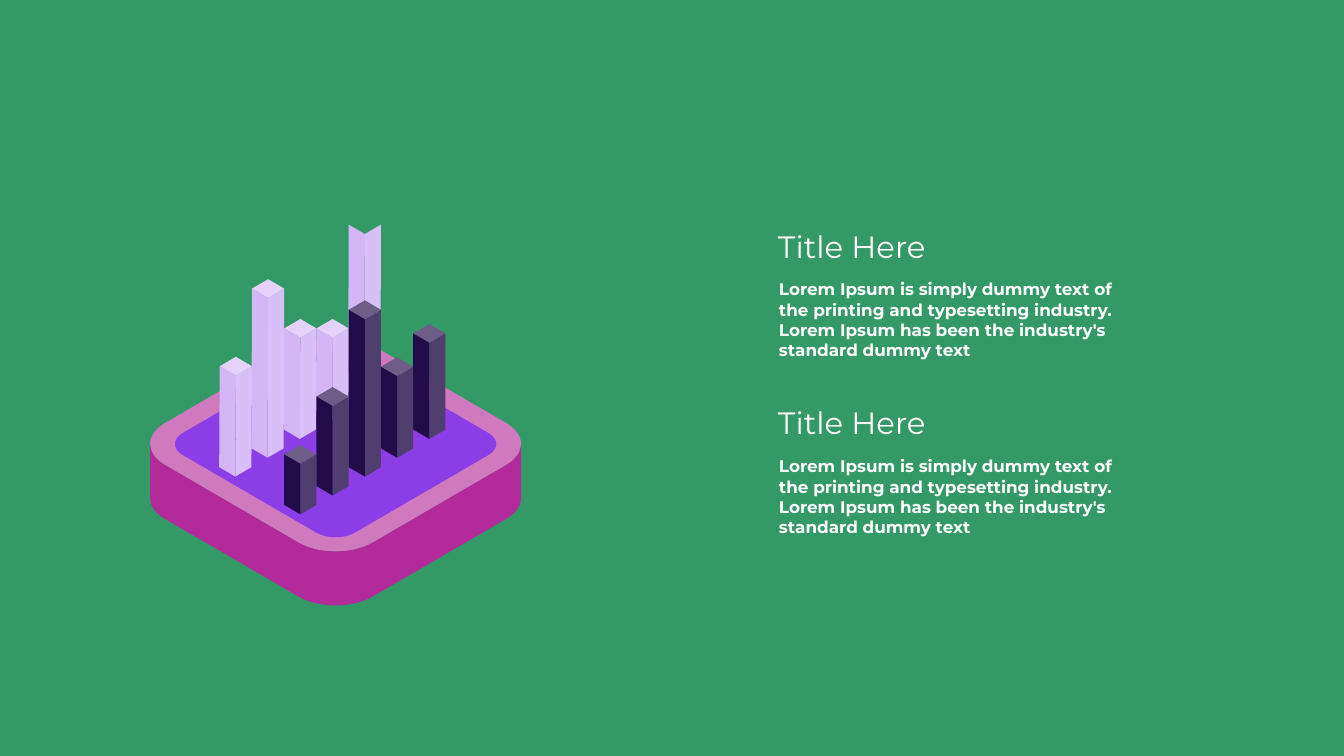
from pptx import Presentation
from pptx.dml.color import RGBColor
from pptx.enum.text import MSO_AUTO_SIZE
from pptx.util import Inches, Pt

HUES = {
    "back": "339966", "text": "FFFFFF",
    "rim": "CF79BF", "side": "B32A9A", "floor": "8C3EE6",
}
LIGHT = {"lid": "E5D2FA", "right": "D9BFF7", "left": "D4B6F6"}
DARK = {"lid": "6D5E87", "right": "503E6F", "left": "220B49"}


def draw(group, points, hue):
    """Add a closed, filled outline through points given in inches."""
    dots = [(Inches(x), Inches(y)) for x, y in points]
    pen = group.shapes.build_freeform(*dots[0])
    pen.add_line_segments(dots[1:], close=True)
    shape = pen.convert_to_shape()
    shape.fill.solid()
    shape.fill.fore_color.rgb = RGBColor.from_string(hue)
    shape.line.fill.background()
    shape.shadow.inherit = False


def plate(right, low, bend):
    """Outline a diamond with four rounded corners, clockwise."""
    (rx, ry), (lx, ly), (bx, by) = right, low, bend
    corners = [
        [(rx, -ry), (rx + bx, by - ry), (rx + bx, ry - by), (rx, ry)],
        [(lx, ly), (lx - bx, ly + by), (bx - lx, ly + by), (-lx, ly)],
    ]
    corners += [[(-x, -y) for x, y in c] for c in corners]
    points = []
    for a, b, c, d in corners:
        for step in range(21):
            t = step / 20
            mix = ((1 - t) ** 3, 3 * t * (1 - t) ** 2, 3 * t * t * (1 - t), t ** 3)
            dx, dy = (sum(m * p[k] for m, p in zip(mix, (a, b, c, d))) for k in (0, 1))
            points.append((6.66 + dx, 8.81 + dy))
    return points


deck = Presentation()
deck.slide_width, deck.slide_height = Inches(26.67), Inches(15)
slide = deck.slides.add_slide(deck.slide_layouts[6])
slide.background.fill.solid()
slide.background.fill.fore_color.rgb = RGBColor.from_string(HUES["back"])

# Text blocks: heading over body
body = (
    "Lorem Ipsum is simply dummy text of the printing and typesetting industry. "
    "Lorem Ipsum has been the industry's standard dummy text"
)
for top in (4.46, 7.97):
    for text, x, y, w, h, size, bold in (
        (body, 15.36, top + 1.03, 6.97, 1.72, 24, True),
        ("Title Here", 15.34, top, 6.27, 0.84, 44, False),
    ):
        box = slide.shapes.add_textbox(Inches(x), Inches(y), Inches(w), Inches(h))
        frame = box.text_frame
        frame.word_wrap = True
        frame.auto_size = MSO_AUTO_SIZE.SHAPE_TO_FIT_TEXT
        para = frame.paragraphs[0]
        para.text = text
        para.font.name = "Montserrat"
        para.font.size = Pt(size)
        para.font.bold = bold
        para.font.color.rgb = RGBColor.from_string(HUES["text"])

# Platform: rim, front side, floor
art = slide.shapes.add_group_shape()
rim = plate((3.38, 0.42), (0.73, 1.96), (0.4, 0.23))
front = sorted(p for p in rim if p[1] > 8.8)
draw(art, rim, HUES["rim"])
draw(art, front + [(x, y + 1.07) for x, y in reversed(front)], HUES["side"])
draw(art, plate((3.03, 0.22), (0.38, 1.76), (0.21, 0.12)), HUES["floor"])

# Columns, back to front; each starts at the rear tip of its lid
half, rise = 0.32, 0.187
rows = (
    (LIGHT, 7.24, 7.96, 0.01, (4.27, 6.33, 6.33, 5.54, 7.08)),
    (DARK, 8.52, 8.71, 0, (6.43, 7.09, 5.96, 7.68, 8.83)),
)
for tones, start, base, lean, tops in rows:
    for i, top in enumerate(tops):
        x, foot = start - 2 * half * i, base + 2 * rise * i
        edge, near = top + rise, top + 2 * rise
        # The rear light column has no lid
        if tones is DARK or i > 0:
            lid = [(x, top), (x - half, edge), (x, near), (x + half, edge)]
            draw(art, lid, tones["lid"])
        for name, side in (("right", half), ("left", -half)):
            face = [(x + side, edge), (x, near), (x - lean, foot),
                    (x + side - lean, foot - rise)]
            draw(art, face, tones[name])

deck.save("out.pptx")
